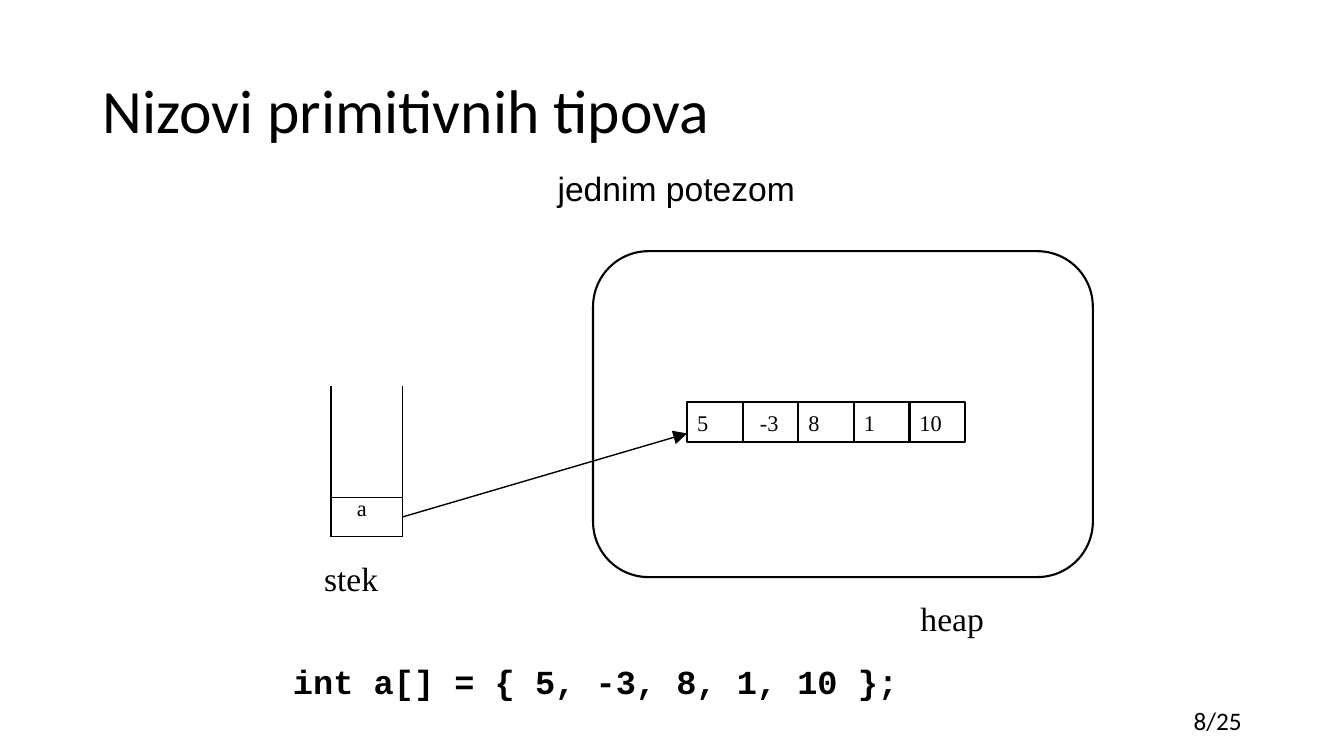
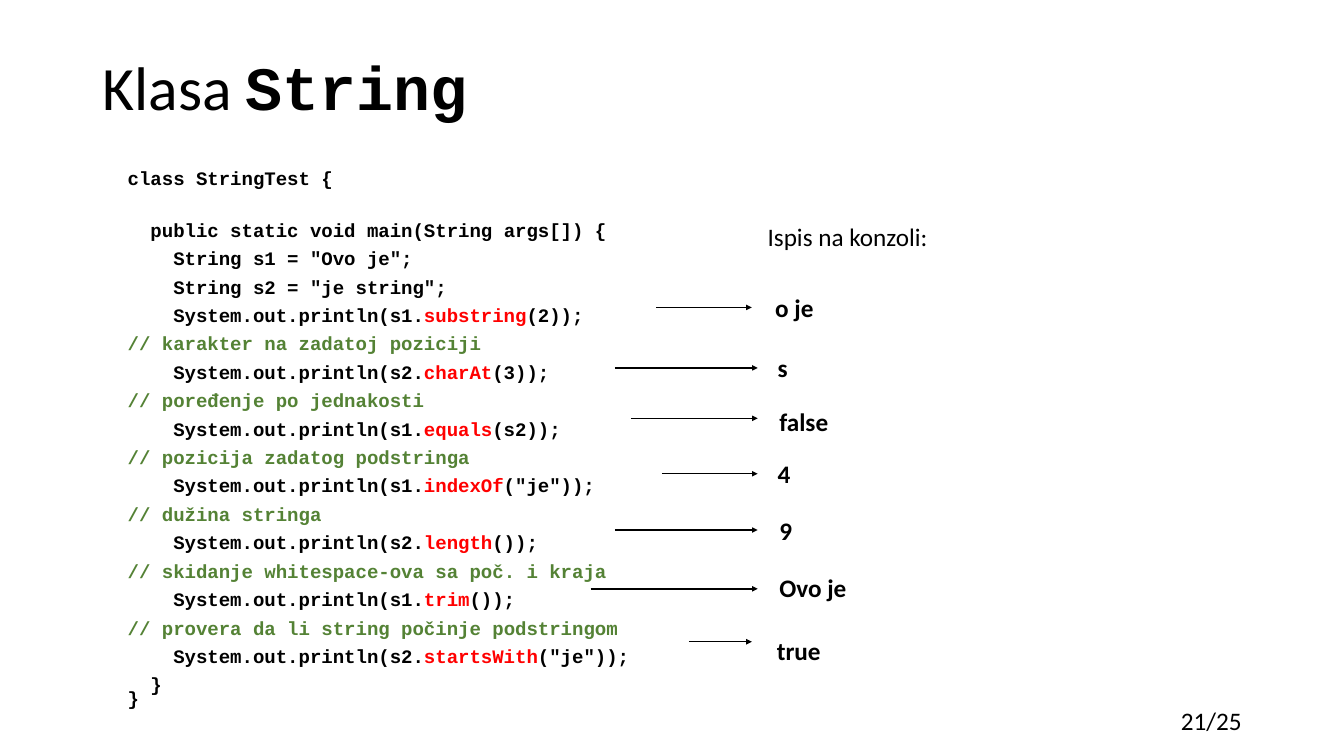
"""Build two Java lecture slides: a primitive array in memory and the String class."""
from dataclasses import dataclass

from lxml import etree
from pptx import Presentation
from pptx import util as u
from pptx.dml.color import RGBColor
from pptx.enum import shapes, text
from pptx.oxml.ns import qn

WIDTH, HEIGHT = u.Inches(13.33), u.Inches(7.5)
COLUMNS, ROWS = 80, 45
COLORS = {"ink": "000000", "method": "FF0000", "comment": "548235"}
SANS, SERIF, MONO = "Calibri", "Times New Roman", "Courier New"
LEFT, CENTER, RIGHT = text.PP_ALIGN.LEFT, text.PP_ALIGN.CENTER, text.PP_ALIGN.RIGHT
TITLE_ONLY, TITLE_AND_BODY = 5, 1
LABEL_ROWS = 2.4


@dataclass(frozen=True)
class Box:
    """A rectangle in grid columns and rows."""
    column: float
    row: float
    columns: float
    rows: float


@dataclass(frozen=True)
class Label:
    """A line of text and its style."""
    words: str
    box: Box
    size: float = 24
    font: str = SERIF
    bold: bool = False
    align: text.PP_ALIGN = LEFT


@dataclass(frozen=True)
class Call:
    """A printed method call with its comment, arrow and console output."""
    comment: str
    receiver: str
    method: str
    arguments: str
    output: str
    arrow_start: float
    arrow_end: float
    arrow_row: float
    output_column: float
    output_row: float


TITLE_BOX, SHORT_TITLE_BOX = Box(5.5, 2.4, 69, 8.7), Box(5.5, 2.4, 69, 5.95)
BODY_BOX = Box(5.5, 10.1, 69, 34.1)
NUMBER_BOX = Box(57.65, 41.7, 16.85, LABEL_ROWS)
HEAP = Box(35.3, 14.95, 29.75, 19.4)
STACK_CELL = Box(19.7, 29.6, 4.25, 2.35)
STACK_TOP = 23
ARRAY_CELL = Box(40.9, 23.95, 3.31, 2.35)
ARRAY_VALUES = (5, -3, 8, 1, 10)

MEMORY_LABELS = (
    Label("heap", Box(54.2, 35.3, 9, 3)),
    Label("stek", Box(18.7, 32.9, 7.5, 3)),
    Label("a", Box(20.65, 29.1, 2.8, 2.2), 16),
    Label("int a[] = { 5, -3, 8, 1, 10 };", Box(16.85, 39.05, 41.1, 3), font=MONO, bold=True),
    Label("jednim potezom", Box(19.7, 9.7, 41.1, 3), font="Arial", align=CENTER),
)
CALLS = (
    Call("", "s1", "substring", "(2)", "o je", 39.05, 44.75, 18.3, 45.55, 18.3),
    Call("karakter na zadatoj poziciji", "s2", "charAt", "(3)", "s",
         36.6, 45.1, 21.9, 45.7, 21.9),
    Call("poređenje po jednakosti", "s1", "equals", "(s2)", "false",
         37.55, 45.1, 24.9, 45.8, 25.1),
    Call("pozicija zadatog podstringa", "s1", "indexOf", '("je")', "4",
         39.4, 45.1, 28.2, 45.7, 28.2),
    Call("dužina stringa", "s2", "length", "()", "9", 36.6, 45.1, 31.55, 45.8, 31.55),
    Call("skidanje whitespace-ova sa poč. i kraja", "s1", "trim", "()", "Ovo je",
         35.15, 45.1, 35.05, 45.8, 34.95),
    Call("provera da li string počinje podstringom", "s2", "startsWith", '("je")', "true",
         41, 44.75, 38.2, 45.65, 38.7),
)


def across(columns: float) -> int:
    """Convert columns to a length."""
    return round(WIDTH * columns / COLUMNS)


def down(rows: float) -> int:
    """Convert rows to a length."""
    return round(HEIGHT * rows / ROWS)


def frame(box: Box) -> tuple[int, int, int, int]:
    """Convert a box to left, top, width and height."""
    return across(box.column), down(box.row), across(box.columns), down(box.rows)


def color(name: str) -> RGBColor:
    """Look up a named colour."""
    return RGBColor.from_string(COLORS[name])


def style(font, name: str, size: float, bold: bool = False) -> None:
    """Set a font in the ink colour."""
    font.name, font.size, font.bold = name, u.Pt(size), bold
    font.color.rgb = color("ink")


def add_label(slide, label: Label) -> None:
    """Add a vertically centred line of text."""
    text_frame = slide.shapes.add_textbox(*frame(label.box)).text_frame
    text_frame.word_wrap = True
    text_frame.vertical_anchor = text.MSO_ANCHOR.MIDDLE
    paragraph = text_frame.paragraphs[0]
    paragraph.text, paragraph.alignment = label.words, label.align
    style(paragraph.font, label.font, label.size, label.bold)


def add_outline(slide, kind: shapes.MSO_SHAPE, box: Box, weight: float):
    """Add an unfilled shape with an ink outline."""
    shape = slide.shapes.add_shape(kind, *frame(box))
    shape.shadow.inherit = False
    shape.fill.background()
    shape.line.color.rgb, shape.line.width = color("ink"), u.Pt(weight)
    return shape


def add_line(slide, start: tuple[float, float], end: tuple[float, float], head: str = ""):
    """Add a straight line, with an arrowhead of the given size if any."""
    connector = slide.shapes.add_connector(
        shapes.MSO_CONNECTOR.STRAIGHT,
        across(start[0]), down(start[1]), across(end[0]), down(end[1]))
    connector.line.color.rgb, connector.line.width = color("ink"), u.Pt(1)
    if head:
        etree.SubElement(connector.line._get_or_add_ln(), qn("a:tailEnd"),
                         type="triangle", w=head, len=head)
    etree.SubElement(connector._element.spPr, qn("a:effectLst"))
    return connector


def add_slide(presentation, layout: int, title_box: Box, title: str, number: str,
              code_title: str = ""):
    """Add a slide with its title and page number."""
    slide = presentation.slides.add_slide(presentation.slide_layouts[layout])
    shape = slide.shapes.title
    shape.left, shape.top, shape.width, shape.height = frame(title_box)
    shape.text_frame.auto_size = text.MSO_AUTO_SIZE.NONE
    shape.text_frame.vertical_anchor = text.MSO_ANCHOR.MIDDLE
    paragraph = shape.text_frame.paragraphs[0]
    paragraph.text, paragraph.alignment, paragraph.line_spacing = title, LEFT, 0.9
    style(paragraph.font, SANS, 44)
    if code_title:
        run = paragraph.add_run()
        run.text = code_title
        run.font.name, run.font.bold = MONO, True
    add_label(slide, Label(number, NUMBER_BOX, 18, SANS, align=RIGHT))
    return slide


def add_array(slide) -> None:
    """Add the row of array cells."""
    for index, value in enumerate(ARRAY_VALUES):
        box = Box(ARRAY_CELL.column + index * ARRAY_CELL.columns, ARRAY_CELL.row,
                  ARRAY_CELL.columns, ARRAY_CELL.rows)
        cell = add_outline(slide, shapes.MSO_SHAPE.RECTANGLE, box, 1.5)
        text_frame = cell.text_frame
        text_frame.margin_left = u.Inches(0.17 if value < 0 else 0.1)
        text_frame.margin_right = text_frame.margin_top = text_frame.margin_bottom = 0
        paragraph = text_frame.paragraphs[0]
        paragraph.text, paragraph.alignment = str(value), LEFT
        style(paragraph.font, SERIF, 16)


def add_memory_slide(presentation) -> None:
    """Add the stack and heap diagram."""
    slide = add_slide(presentation, TITLE_ONLY, TITLE_BOX, "Nizovi primitivnih tipova", "8/25")
    stack_cell = add_outline(slide, shapes.MSO_SHAPE.RECTANGLE, STACK_CELL, 1)
    stack_right = STACK_CELL.column + STACK_CELL.columns
    for column in (STACK_CELL.column, stack_right):
        add_line(slide, (column, STACK_CELL.row + STACK_CELL.rows), (column, STACK_TOP))
    heap = add_outline(slide, shapes.MSO_SHAPE.ROUNDED_RECTANGLE, HEAP, 1.5)
    heap.adjustments[0] = 0.17
    reference = add_line(slide, (stack_right, STACK_CELL.row + STACK_CELL.rows / 2),
                         (ARRAY_CELL.column, 25.8), "lg")
    reference.begin_connect(stack_cell, 3)
    add_array(slide)
    for label in MEMORY_LABELS:
        add_label(slide, label)


def add_code_line(text_frame, parts: list[tuple[str, str]], space: float = 10.5) -> None:
    """Add a line of code made of words and colour names."""
    first = not text_frame.text
    paragraph = text_frame.paragraphs[0] if first else text_frame.add_paragraph()
    properties = paragraph._p.get_or_add_pPr()
    properties.set("marL", str(u.Inches(0.25)))
    properties.set("indent", "0")
    etree.SubElement(properties, qn("a:buNone"))
    paragraph.line_spacing = 0.6
    paragraph.space_before = u.Pt(0 if first else space)
    style(paragraph.font, MONO, 13.6, True)
    for words, name in parts:
        for index, line in enumerate(words.split("\n")):
            if index:
                paragraph.add_line_break()
            run = paragraph.add_run()
            run.text = line
            run.font.color.rgb = color(name)


def add_string_slide(presentation) -> None:
    """Add the String methods with their console output."""
    slide = add_slide(presentation, TITLE_AND_BODY, SHORT_TITLE_BOX, "Klasa ", "21/25", "String")
    body = slide.placeholders[1]
    body.left, body.top, body.width, body.height = frame(BODY_BOX)
    code = body.text_frame
    code.auto_size = text.MSO_AUTO_SIZE.NONE
    add_code_line(code, [("class StringTest {", "ink")])
    add_code_line(code, [("  public static void main(String args[]) {", "ink")], 27)
    for statement in ('String s1 = "Ovo je";', 'String s2 = "je string";'):
        add_code_line(code, [("    " + statement, "ink")])
    add_label(slide, Label("Ispis na konzoli:", Box(45.1, 12.85, 14, LABEL_ROWS), 18, SANS))
    for call in CALLS:
        if call.comment:
            add_code_line(code, [("// " + call.comment, "comment")])
        add_code_line(code, [(f"    System.out.println({call.receiver}.", "ink"),
                             (call.method, "method"), (call.arguments + ");", "ink")])
        add_line(slide, (call.arrow_start, call.arrow_row),
                 (call.arrow_end, call.arrow_row), "sm")
        box = Box(call.output_column, call.output_row - LABEL_ROWS / 2, 8, LABEL_ROWS)
        add_label(slide, Label(call.output, box, 18, SANS, True))
    add_code_line(code, [("  }\n}", "ink")])


def main() -> None:
    """Build and save the presentation."""
    presentation = Presentation()
    presentation.slide_width, presentation.slide_height = WIDTH, HEIGHT
    add_memory_slide(presentation)
    add_string_slide(presentation)
    presentation.save("out.pptx")


if __name__ == "__main__":
    main()
